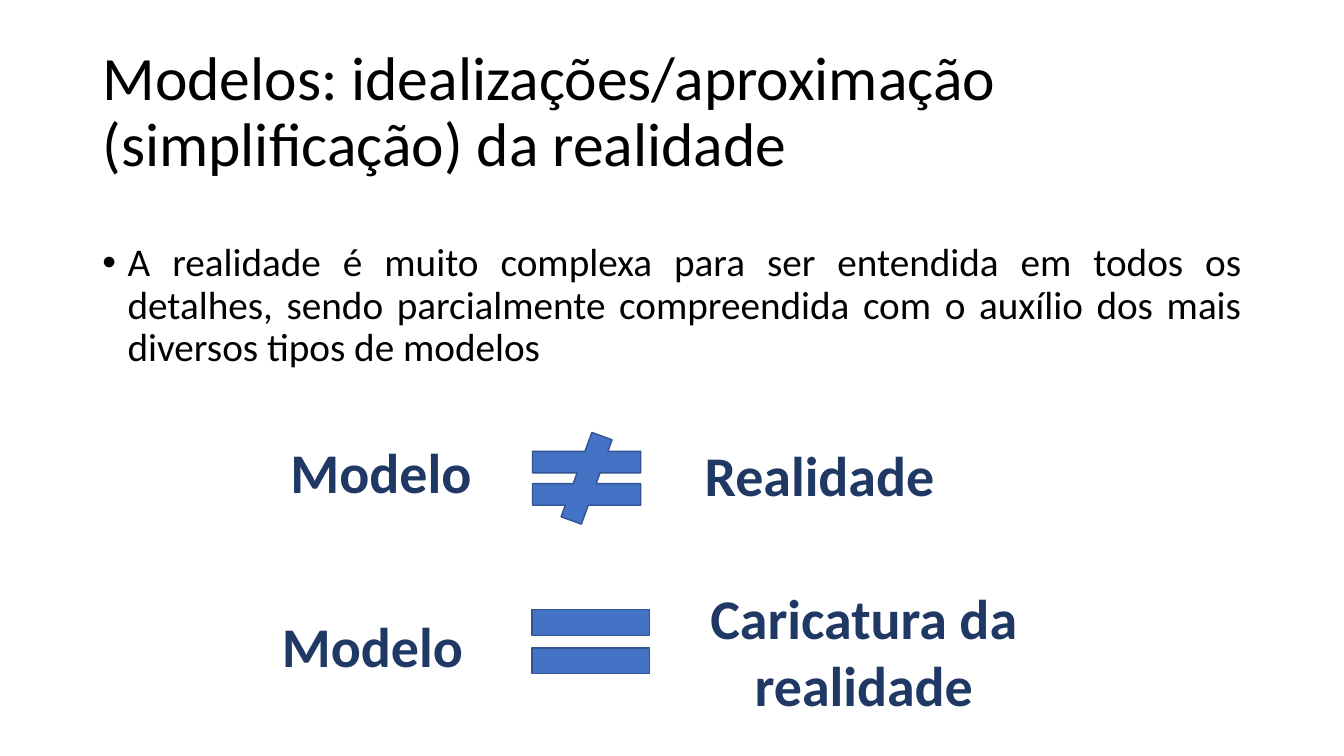
from dataclasses import dataclass

from lxml import etree
from pptx import Presentation
from pptx import util as u
from pptx.dml.color import RGBColor
from pptx.enum import shapes, text
from pptx.oxml import ns


@dataclass(frozen=True)
class Theme:
    font: str = "Calibri"
    ink: RGBColor = RGBColor(0x00, 0x00, 0x00)
    label: RGBColor = RGBColor(0x20, 0x38, 0x64)
    sign_fill: RGBColor = RGBColor(0x44, 0x72, 0xC4)
    sign_line: RGBColor = RGBColor(0x32, 0x54, 0x91)
    title_size: int = 44
    body_size: int = 28
    label_size: int = 40
    sign_line_width: int = 1
    tight_spacing: float = 0.9


@dataclass(frozen=True)
class Area:
    """Position and size in columns and rows of the slide grid."""
    column: float
    row: float
    columns: float
    rows: float


@dataclass(frozen=True)
class Label:
    wording: str
    area: Area


@dataclass(frozen=True)
class Comparison:
    left: Label
    sign: shapes.MSO_SHAPE
    sign_area: Area
    right: Label


THEME = Theme()
SLIDE_WIDTH, SLIDE_HEIGHT = u.Inches(40 / 3), u.Inches(7.5)
COLUMN, ROW = SLIDE_WIDTH / 40, SLIDE_HEIGHT / 30

TITLE = Label("Modelos: idealizações/aproximação (simplificação) da realidade",
              Area(2.75, 1.6, 34.5, 5.8))
BODY = Label("A realidade é muito complexa para ser entendida em todos os detalhes, "
             "sendo parcialmente compreendida com o auxílio dos mais diversos tipos "
             "de modelos", Area(2.75, 9.44, 34.5, 6.48))
COMPARISONS = [
    Comparison(Label("Modelo", Area(7.98, 17.16, 6.72, 3.56)),
               shapes.MSO_SHAPE.MATH_NOT_EQUAL, Area(15.27, 17.16, 4.38, 3.64),
               Label("Realidade", Area(20.31, 17.28, 8.16, 3.56))),
    Comparison(Label("Modelo", Area(6.72, 24.08, 8.73, 3.56)),
               shapes.MSO_SHAPE.MATH_EQUAL, Area(15.21, 23.32, 4.74, 4.28),
               Label("Caricatura da realidade", Area(18.12, 22.96, 15.18, 5.8))),
]


def box(area: Area) -> tuple[int, int, int, int]:
    """Turn a grid area into left, top, width and height."""
    return (round(area.column * COLUMN), round(area.row * ROW),
            round(area.columns * COLUMN), round(area.rows * ROW))


def write(shape, wording: str, size: int, color: RGBColor, alignment, bold=False):
    """Fill a shape with one formatted paragraph and return the paragraph."""
    frame = shape.text_frame
    frame.text = wording
    frame.word_wrap = True
    frame.auto_size = text.MSO_AUTO_SIZE.NONE
    paragraph = frame.paragraphs[0]
    paragraph.alignment = alignment
    paragraph.space_before = u.Pt(0)
    for run in paragraph.runs:
        run.font.name = THEME.font
        run.font.size = u.Pt(size)
        run.font.bold = bold
        run.font.color.rgb = color
    return paragraph


def fill_placeholder(placeholder, label: Label, size: int, alignment, anchor):
    placeholder.left, placeholder.top, placeholder.width, placeholder.height = box(label.area)
    paragraph = write(placeholder, label.wording, size, THEME.ink, alignment)
    paragraph.line_spacing = THEME.tight_spacing
    placeholder.text_frame.vertical_anchor = anchor
    return paragraph


def add_bullet(paragraph) -> None:
    properties = paragraph._p.get_or_add_pPr()
    properties.set("marL", str(u.Inches(0.25)))
    properties.set("indent", str(u.Inches(-0.25)))
    etree.SubElement(properties, ns.qn("a:buFont")).set("typeface", "Arial")
    etree.SubElement(properties, ns.qn("a:buChar")).set("char", "•")


def add_label(slide, label: Label) -> None:
    textbox = slide.shapes.add_textbox(*box(label.area))
    write(textbox, label.wording, THEME.label_size, THEME.label,
          text.PP_ALIGN.CENTER, bold=True)


def add_sign(slide, kind: shapes.MSO_SHAPE, area: Area) -> None:
    sign = slide.shapes.add_shape(kind, *box(area))
    sign.shadow.inherit = False
    sign.fill.solid()
    sign.fill.fore_color.rgb = THEME.sign_fill
    sign.line.color.rgb = THEME.sign_line
    sign.line.width = u.Pt(THEME.sign_line_width)


def main() -> None:
    presentation = Presentation()
    presentation.slide_width, presentation.slide_height = SLIDE_WIDTH, SLIDE_HEIGHT
    slide = presentation.slides.add_slide(presentation.slide_layouts[1])

    fill_placeholder(slide.shapes.title, TITLE, THEME.title_size,
                     text.PP_ALIGN.LEFT, text.MSO_ANCHOR.MIDDLE)
    body = fill_placeholder(slide.placeholders[1], BODY, THEME.body_size,
                            text.PP_ALIGN.JUSTIFY, text.MSO_ANCHOR.TOP)
    add_bullet(body)

    for comparison in COMPARISONS:
        add_label(slide, comparison.left)
        add_sign(slide, comparison.sign, comparison.sign_area)
        add_label(slide, comparison.right)

    presentation.save("out.pptx")


if __name__ == "__main__":
    main()
